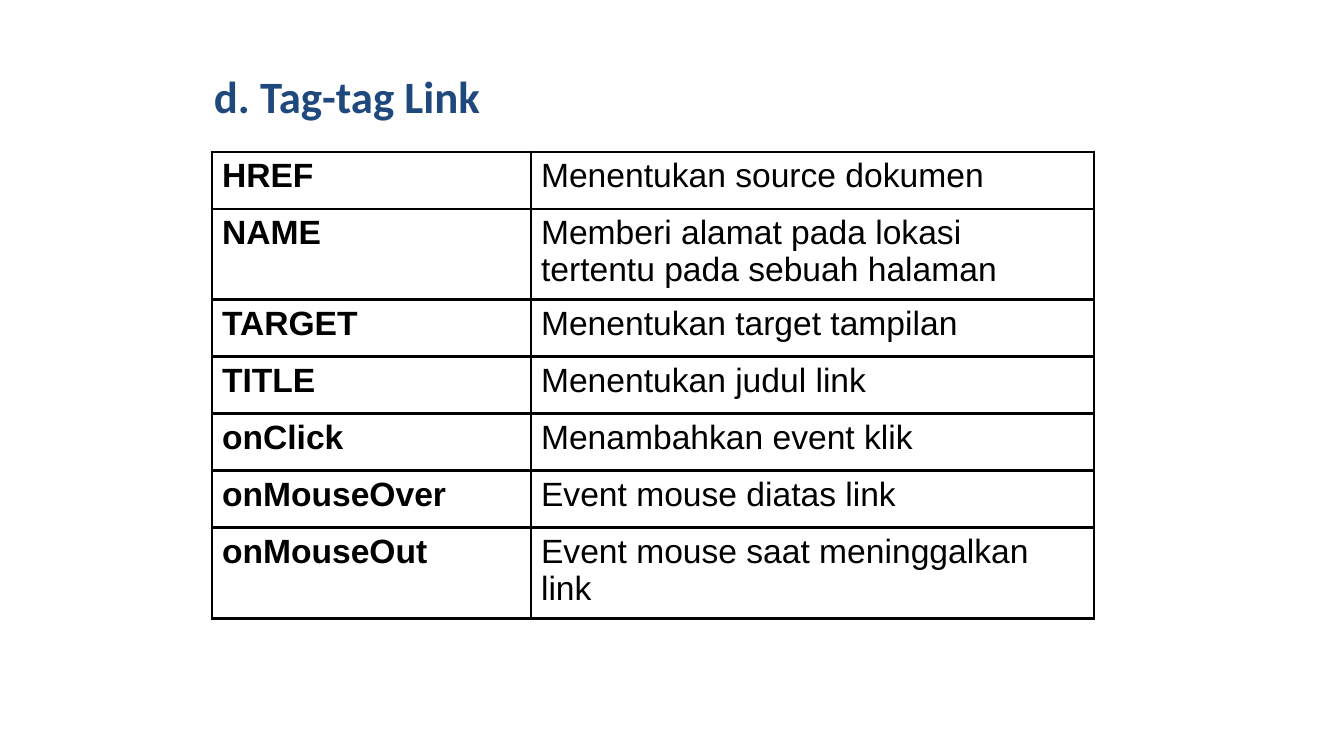
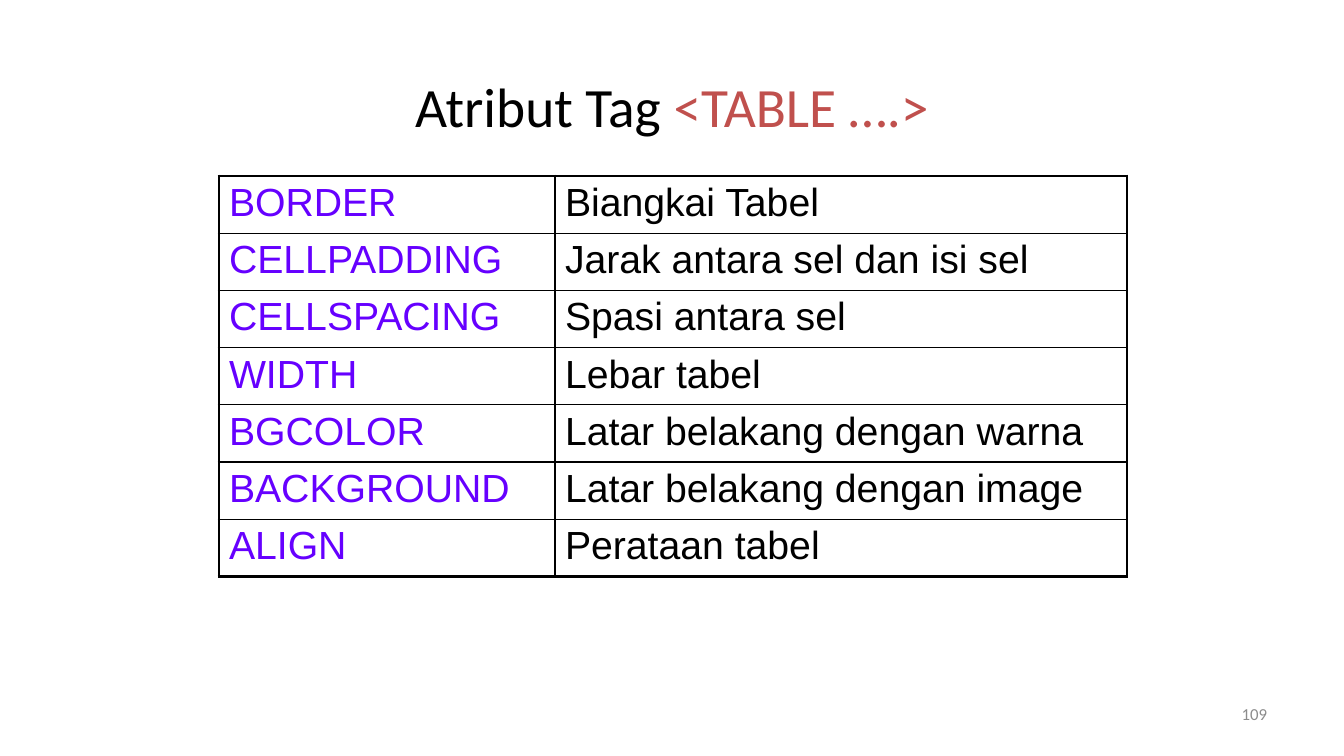
import pptx
import pptx.dml.color
import pptx.enum.text
import pptx.oxml.ns
import pptx.util
from lxml import etree

SCALE = 12192000 / 1344
ALIGN = pptx.enum.text.PP_ALIGN
BLACK = "000000"
NAVY = "1F497D"
RED = "C0504D"
VIOLET = "6600FF"
GREY = "8C8C8C"
TITLE_FONT = "Calibri"
TABLE_FONT = "Arial"
THICK = 2.25
THIN = 1
ROW_HEIGHT = 57

LINK_ROWS = [
    ("HREF", "Menentukan source dokumen"),
    ("NAME", "Memberi alamat pada lokasi tertentu pada sebuah halaman"),
    ("TARGET", "Menentukan target tampilan"),
    ("TITLE", "Menentukan judul link"),
    ("onClick", "Menambahkan event klik"),
    ("onMouseOver", "Event mouse diatas link"),
    ("onMouseOut", "Event mouse saat meninggalkan link"),
]
TABLE_ROWS = [
    ("BORDER", "Biangkai Tabel"),
    ("CELLPADDING", "Jarak antara sel dan isi sel"),
    ("CELLSPACING", "Spasi antara sel"),
    ("WIDTH", "Lebar tabel"),
    ("BGCOLOR", "Latar belakang dengan warna"),
    ("BACKGROUND", "Latar belakang dengan image"),
    ("ALIGN", "Perataan tabel"),
]


def px(length):
    """Turn whole pixels into EMU."""
    return pptx.util.Emu(round(length * SCALE))


def color(value):
    """Turn a hex string into a colour."""
    return pptx.dml.color.RGBColor.from_string(value)


def style_font(font, name, size, value, bold=False):
    """Set the face, size, colour and weight of a font."""
    font.name = name
    font.size = pptx.util.Pt(size)
    font.color.rgb = color(value)
    font.bold = bold


def add_text(page, area, parts, size, align=ALIGN.LEFT, bold=False):
    """Place one vertically centred line made of (text, colour) parts."""
    box = page.shapes.add_textbox(*map(px, area))
    frame = box.text_frame
    frame.word_wrap = True
    frame.vertical_anchor = pptx.enum.text.MSO_ANCHOR.MIDDLE
    para = frame.paragraphs[0]
    para.alignment = align
    for text, value in parts:
        span = para.add_run()
        span.text = text
        style_font(span.font, TITLE_FONT, size, value, bold)


def set_border(cell, side, width):
    """Draw one solid black edge of a cell."""
    properties = cell._tc.get_or_add_tcPr()
    line = etree.SubElement(properties, pptx.oxml.ns.qn(f"a:ln{side}"), w=str(pptx.util.Pt(width)))
    fill = etree.SubElement(line, pptx.oxml.ns.qn("a:solidFill"))
    etree.SubElement(fill, pptx.oxml.ns.qn("a:srgbClr"), val=BLACK)


def add_attribute_table(page, corner, widths, rows, size, rule, name_color=BLACK, name_bold=False):
    """Place a table of names and meanings, with a thick frame and the given row rule."""
    area = (*corner, sum(widths), ROW_HEIGHT * len(rows))
    table = page.shapes.add_table(len(rows), len(widths), *map(px, area)).table
    table.first_row = False
    table.horz_banding = False
    for column, width in zip(table.columns, widths):
        column.width = px(width)
    for index, texts in enumerate(rows):
        table.rows[index].height = px(ROW_HEIGHT)
        top = THICK if index == 0 else rule
        bottom = THICK if index == len(rows) - 1 else rule
        for place, text in enumerate(texts):
            is_name = place == 0
            cell = table.cell(index, place)
            cell.text_frame.text = text
            span = cell.text_frame.paragraphs[0].runs[0]
            style_font(span.font, TABLE_FONT, size, name_color if is_name else BLACK, name_bold and is_name)
            left, right = (THICK, THIN) if is_name else (THIN, THICK)
            for side, width in zip("LRTB", (left, right, top, bottom)):
                set_border(cell, side, width)
            cell.fill.background()


def build_link_page(page):
    """Build the slide on link attributes."""
    add_text(page, (204, 39, 365, 113), [("d. Tag-tag Link", NAVY)], 32, bold=True)
    add_attribute_table(page, (212, 152), (319, 563), LINK_ROWS, 24, THICK, name_bold=True)


def build_table_page(page):
    """Build the slide on table attributes."""
    title = [("Atribut Tag ", BLACK), ("<TABLE ….>", RED)]
    add_text(page, (263, 65, 818, 80), title, 39.6, ALIGN.CENTER)
    add_attribute_table(page, (219, 176), (336, 572), TABLE_ROWS, 28, THIN, VIOLET)
    add_text(page, (964, 688, 313, 52), [("109", GREY)], 12, ALIGN.RIGHT)


def main():
    """Build and save the deck."""
    deck = pptx.Presentation()
    deck.slide_width = px(1344)
    deck.slide_height = px(756)
    for build in (build_link_page, build_table_page):
        build(deck.slides.add_slide(deck.slide_layouts[6]))
    deck.save("out.pptx")


if __name__ == "__main__":
    main()
